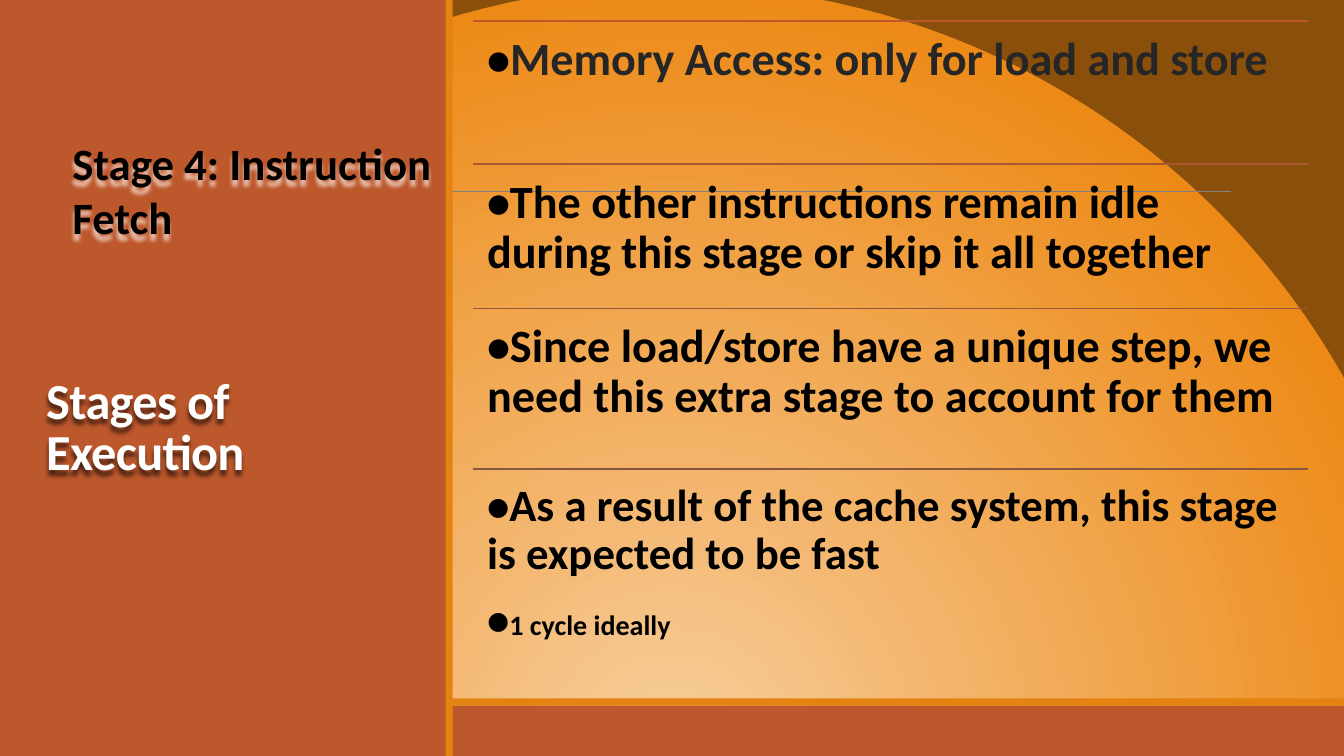
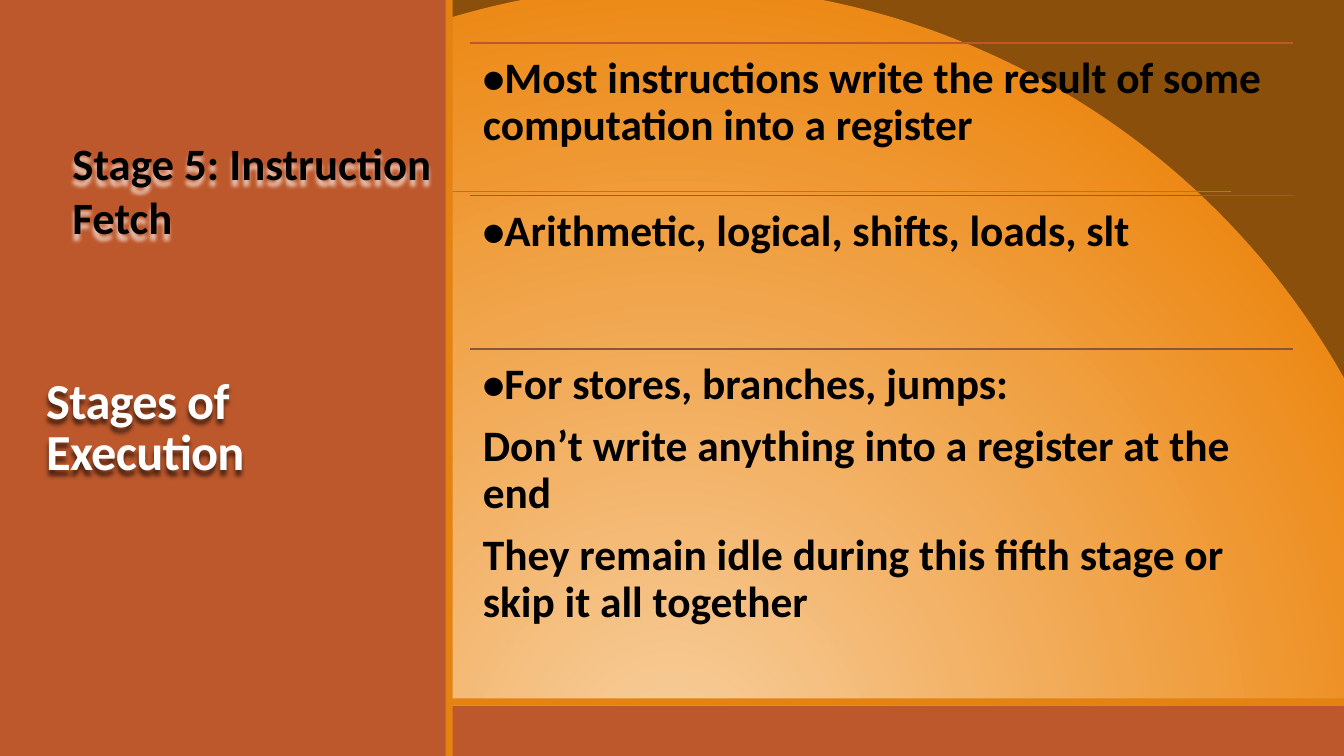
"""Build two slides on the stages of instruction execution."""
from pptx import Presentation
from pptx.dml.color import RGBColor
from pptx.enum.shapes import MSO_CONNECTOR, MSO_SHAPE
from pptx.enum.text import MSO_ANCHOR
from pptx.oxml import parse_xml
from pptx.oxml.ns import nsdecls, qn
from pptx.util import Inches, Pt

FONT = "Calibri"
COLORS = {
    "rust": "BD582C", "orange": "E48312", "gray": "808080",
    "white": "FFFFFF", "black": "000000", "charcoal": "262626",
    "shadow": "F4DCD0", "glow": "F7CE9D", "amber": "ED8A17", "brown": "894F0B",
    "sienna": "AA5834", "clay": "A05837", "umber": "97573A", "cocoa": "865640",
}
BANDS = [
    (0, 7, 13.33, 0.5, "rust"),
    (0, 6.93, 13.33, 0.07, "orange"),
    (0, 0, 4.43, 7.5, "rust"),
    (4.42, 0, 0.07, 7.5, "orange"),
]
SLIDES = [
    {
        "stage": "Stage 4: Instruction Fetch",
        "left": 4.69, "width": 8.28, "bottom": 6.32, "size": 33, "inset": 0.14,
        "rows": [
            (0.21, "rust", [[("•",), ("Memory Access: only for load and store", 33, "charcoal")]]),
            (1.63, "sienna", [[("•The other instructions remain idle during this stage or skip it all together",)]]),
            (3.06, "umber", [[("•Since load/store have a unique step, we need this extra stage to account for them",)]]),
            (4.65, "cocoa", [
                [("•As a result of the cache system, this stage is expected to be fast", 32)],
                [("•", 32), ("1 cycle ideally", 20)],
            ]),
        ],
    },
    {
        "stage": "Stage 5: Instruction Fetch",
        "left": 4.66, "width": 8.16, "bottom": 6.55, "size": 31, "inset": 0.13,
        "rows": [
            (0.43, "rust", [[("•Most instructions write the result of some computation into a register",)]]),
            (1.94, "clay", [[("•Arithmetic, logical, shifts, loads, slt",)]]),
            (3.46, "cocoa", [
                [("•For stores, branches, jumps:",)],
                [("Don’t write anything into a register at the end",)],
                [("They remain idle during this fifth stage or skip it all together",)],
            ]),
        ],
    },
]


def rgb(name):
    """Return a named colour."""
    return RGBColor.from_string(COLORS[name])


def set_background(slide):
    """Fill the slide with the circular gradient."""
    stops = "".join(
        f'<a:gs pos="{pos}"><a:srgbClr val="{COLORS[name]}"/></a:gs>'
        for pos, name in [(0, "glow"), (100000, "amber"), (100000, "brown")]
    )
    bg = parse_xml(
        f'<p:bg {nsdecls("p", "a")}><p:bgPr><a:gradFill rotWithShape="1">'
        f'<a:gsLst>{stops}</a:gsLst><a:path path="circle">'
        '<a:fillToRect l="50000" t="130000" r="50000" b="-30000"/></a:path>'
        '</a:gradFill><a:effectLst/></p:bgPr></p:bg>'
    )
    slide.element.find(qn("p:cSld")).insert(0, bg)


def add_band(slide, left, top, width, height, color):
    """Add a plain filled rectangle."""
    sp = slide.shapes.add_shape(
        MSO_SHAPE.RECTANGLE, Inches(left), Inches(top), Inches(width), Inches(height))
    sp.shadow.inherit = False
    sp.fill.solid()
    sp.fill.fore_color.rgb = rgb(color)
    sp.line.fill.background()


def add_rule(slide, left, right, top, color, weight):
    """Add a horizontal line without a shadow."""
    line = slide.shapes.add_connector(
        MSO_CONNECTOR.STRAIGHT, Inches(left), Inches(top), Inches(right), Inches(top))
    line.line.color.rgb = rgb(color)
    line.line.width = Pt(weight)
    line.element.spPr.append(parse_xml(f'<a:effectLst {nsdecls("a")}/>'))


def add_textbox(slide, left, top, width, height):
    """Add an empty wrapping text box."""
    sp = slide.shapes.add_textbox(
        Inches(left), Inches(top), Inches(width), Inches(height))
    sp.text_frame.word_wrap = True
    return sp


def add_run(p, text, size, color="black"):
    """Append one bold run to a paragraph."""
    r = p.add_run()
    r.text = text
    r.font.name = FONT
    r.font.size = Pt(size)
    r.font.bold = True
    r.font.color.rgb = rgb(color)
    return r


def add_shadow(sp, color, alpha):
    """Give the text of an unfilled box a soft shadow."""
    sp.element.spPr.append(parse_xml(
        f'<a:effectLst {nsdecls("a")}><a:outerShdw blurRad="38100" dist="50800" '
        f'dir="6000000" algn="t" rotWithShape="0"><a:srgbClr val="{COLORS[color]}">'
        f'<a:alpha val="{alpha}"/></a:srgbClr></a:outerShdw></a:effectLst>'))


def add_title(slide):
    """Add the white deck title in the side band."""
    sp = add_textbox(slide, 0.36, 3.27, 3.5, 2.5)
    tf = sp.text_frame
    tf.vertical_anchor = MSO_ANCHOR.MIDDLE
    tf.margin_bottom = Inches(0.57)
    p = tf.paragraphs[0]
    p.line_spacing = 0.85
    r = add_run(p, "Stages of Execution", 36, "white")
    r.font._element.set("spc", "-50")
    add_shadow(sp, "black", 60000)


def add_stage(slide, text):
    """Add the stage heading in the side band."""
    sp = add_textbox(slide, 0.62, 1.3, 4.44, 1.18)
    p = sp.text_frame.paragraphs[0]
    p.space_after = Pt(6)
    add_run(p, text, 32)
    add_shadow(sp, "shadow", 80000)


def add_row(slide, data, top, bottom, color, paragraphs):
    """Add a ruled row of body text."""
    left, width = data["left"], data["width"]
    add_rule(slide, left, left + width, top, color, 1.25)
    tf = add_textbox(slide, left, top, width, bottom - top).text_frame
    tf.margin_left = tf.margin_right = Inches(data["inset"])
    tf.margin_top = tf.margin_bottom = Inches(data["inset"])
    for i, runs in enumerate(paragraphs):
        p = tf.add_paragraph() if i else tf.paragraphs[0]
        p.line_spacing = 0.9
        p.space_after = Pt(round(0.35 * data["size"]))
        for text, *style in runs:
            add_run(p, text, *(style or [data["size"]]))


def add_stage_slide(prs, data):
    """Add one complete stage slide."""
    slide = prs.slides.add_slide(prs.slide_layouts[6])
    set_background(slide)
    add_rule(slide, 1.31, 12.21, 1.9, "gray", 0.5)
    for band in BANDS:
        add_band(slide, *band)
    add_title(slide)
    add_stage(slide, data["stage"])
    rows = data["rows"]
    bottoms = [row[0] for row in rows[1:]] + [data["bottom"]]
    for (top, color, paragraphs), bottom in zip(rows, bottoms):
        add_row(slide, data, top, bottom, color, paragraphs)


def main():
    """Build and save the presentation."""
    prs = Presentation()
    prs.slide_width = Inches(13.33)
    prs.slide_height = Inches(7.5)
    for data in SLIDES:
        add_stage_slide(prs, data)
    prs.save("out.pptx")


if __name__ == "__main__":
    main()
